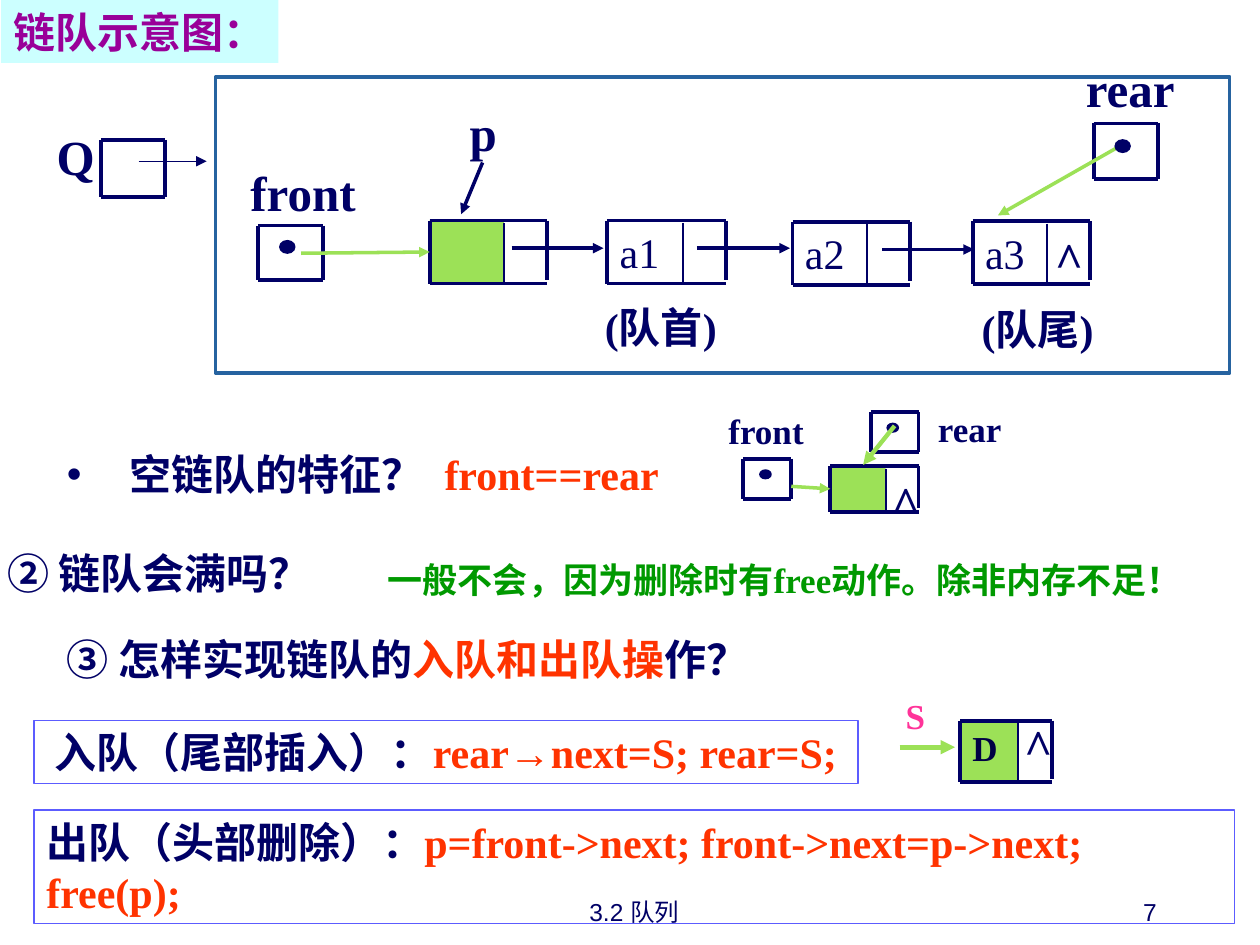
"""Build the linked-queue slide: queue diagram, empty queue, enqueue and dequeue."""
import pptx
import pptx.dml.color
import pptx.enum.shapes
import pptx.enum.text
import pptx.oxml
import pptx.oxml.ns
import pptx.util

Inches = pptx.util.Inches
Pt = pptx.util.Pt
ALIGN = pptx.enum.text.PP_ALIGN
ANCHOR = pptx.enum.text.MSO_ANCHOR
SHAPE = pptx.enum.shapes.MSO_SHAPE

THEME = {
    "navy": "000066", "ink": "000044", "green": "9CE157", "frame": "2663A0",
    "red": "FF3300", "answer": "009900", "pink": "FF3399", "purple": "990099",
    "band": "CCFFFF", "box": "5C5CFF",
    "serif": "Times New Roman", "sans": "Arial", "heading": "Montserrat",
    "huge": 28, "large": 24, "medium": 20, "small": 14,
    "outline": 2.25, "divider": 1, "hairline": 0.75, "arrow": 2,
}

TITLE = ((0.01, 0, 2.2, 0.5), "链队示意图：")
QUESTION = ((0.43, 3.51, 3.07, 0.5), "空链队的特征？")
QUEUE_FRAME = (1.71, 0.61, 8.05, 2.35)

CENTRED_LABELS = [
    ((0.35, 0.95, 0.39, 0.57), "Q", "navy", "huge"),
    ((1.8, 1.24, 1.21, 0.57), "front", "navy", "huge"),
    ((3.62, 0.76, 0.43, 0.57), "p", "navy", "huge"),
    ((8.49, 0.41, 0.96, 0.57), "rear", "navy", "huge"),
    ((5.63, 3.2, 0.9, 0.44), "front", "navy", "medium"),
    ((7.34, 3.18, 0.71, 0.44), "rear", "navy", "medium"),
    ((6.97, 5.46, 0.59, 0.44), "S", "pink", "medium"),
]
UNWRAPPED_LABELS = [
    ((4.62, 2.34, 1.25, 0.5), "(队首)", "navy", "large"),
    ((7.61, 2.36, 1.25, 0.5), "(队尾)", "navy", "large"),
    ((8.23, 1.76, 0.51, 0.57), "^", "navy", "huge"),
    ((6.98, 3.7, 0.42, 0.57), "^", "navy", "huge"),
    ((8.03, 5.63, 0.42, 0.57), "^", "navy", "huge"),
]
STATEMENTS = [
    ((3.43, 3.51, 2.13, 0.5), [("front==rear", "red")], "large"),
    ((-0.04, 4.3, 3.57, 0.5), [("② 链队会满吗？", "navy")], "large"),
    ((2.98, 4.38, 6.64, 0.44),
     [("一般不会，因为删除时有free动作。除非内存不足！", "answer")], "medium"),
    ((0.43, 4.98, 6.42, 0.5),
     [("③ 怎样实现链队的", "navy"), ("入队和出队操", "red"), ("作？", "navy")], "large"),
]
OPERATIONS = [
    ((0.27, 5.72, 6.54, 0.5), ALIGN.CENTER,
     [("入队（尾部插入）：", "navy"), ("rear", "red"), ("→", "red", "sans"),
      ("next=S; rear=S;", "red")]),
    ((0.27, 6.43, 9.53, 0.9), ALIGN.LEFT,
     [("出队（头部删除）：", "navy"),
      ("p=front->next; front->next=p->next; free(p);", "red")]),
]
FOOTERS = [
    ((3.45, 6.9, 3.17, 0.5), "3.2 队列", ALIGN.CENTER),
    ((7.2, 6.9, 2.08, 0.5), "7", ALIGN.RIGHT),
]

POINTER_BOXES = [
    (0.8, 1.11, 0.51, 0.45), (2.05, 1.79, 0.51, 0.43), (8.68, 0.98, 0.51, 0.44),
    (5.9, 3.64, 0.38, 0.32), (6.91, 3.27, 0.38, 0.32),
]
POINTER_DOTS = [
    (2.22, 1.91, 0.12, 0.1), (8.85, 1.11, 0.12, 0.1),
    (6.03, 3.73, 0.09, 0.07), (7.04, 3.36, 0.09, 0.07),
]
NODES = {
    "head": ((3.41, 1.75, 0.93, 0.5), 0.59, "green", ""),
    "a1": ((4.82, 1.75, 0.94, 0.5), 0.6, None, "a1"),
    "a2": ((6.29, 1.76, 0.93, 0.5), 0.59, None, "a2"),
    "a3": ((7.72, 1.755, 0.93, 0.5), 0.59, None, "a3"),
    "empty": ((6.59, 3.7, 0.7, 0.36), 0.44, "green", ""),
    "new": ((7.62, 5.72, 0.73, 0.49), 0.46, "green", "D"),
}
JOINED_ARROWS = [((2.39, 2.01), "head"), ((6.28, 3.86), "empty")]
ARROWS_UNDER_DOTS = [
    ((1.1, 1.28), (1.64, 1.28), "navy", 0.75),
    ((3.83, 1.29), (3.66, 1.7), "navy", 2),
    ((4.06, 1.97), (4.79, 1.97), "navy", 2),
    ((5.53, 1.97), (6.27, 1.97), "navy", 2),
    ((7, 1.98), (7.73, 1.98), "navy", 2),
    ((8.94, 1.13), (7.92, 1.71), "green", 2),
]
ARROWS_OVER_DOTS = [
    ((7.1, 3.38), (6.85, 3.69), "green", 2.5),
    ((7.14, 5.93), (7.58, 5.93), "green", 2.75),
]


def rgb(name):
    return pptx.dml.color.RGBColor.from_string(THEME[name])


def lengths(at):
    return [Inches(value) for value in at]


def style_run(run, color, size, bold=True, font="serif"):
    run.font.name = THEME[font]
    run.font.size = Pt(THEME[size])
    run.font.bold = bold
    run.font.color.rgb = rgb(color)


def set_frame(frame, anchor, wrap=True):
    frame.auto_size = pptx.enum.text.MSO_AUTO_SIZE.NONE
    frame.vertical_anchor = anchor
    frame.word_wrap = wrap


def add_text(slide, at, parts, size, align=ALIGN.LEFT, anchor=ANCHOR.MIDDLE,
             wrap=True, bold=True, font="serif"):
    label = slide.shapes.add_textbox(*lengths(at))
    set_frame(label.text_frame, anchor, wrap)
    paragraph = label.text_frame.paragraphs[0]
    paragraph.alignment = align
    for words, color, *own_font in parts:
        run = paragraph.add_run()
        run.text = words
        style_run(run, color, size, bold, own_font[0] if own_font else font)
    return label


def add_block(slide, kind, at, fill=None, line=None, width=1):
    block = slide.shapes.add_shape(kind, *lengths(at))
    block.shadow.inherit = False
    if fill:
        block.fill.solid()
        block.fill.fore_color.rgb = rgb(fill)
    else:
        block.fill.background()
    if line:
        block.line.color.rgb = rgb(line)
        block.line.width = Pt(width)
    else:
        block.line.fill.background()
    return block


def add_line(slide, start, end, color, width, arrow=True):
    line = slide.shapes.add_connector(
        pptx.enum.shapes.MSO_CONNECTOR.STRAIGHT, *lengths(start + end))
    line.line.color.rgb = rgb(color)
    line.line.width = Pt(width)
    namespace = pptx.oxml.ns.nsdecls("a")
    if arrow:
        line._element.spPr.find(pptx.oxml.ns.qn("a:ln")).append(
            pptx.oxml.parse_xml(f'<a:tailEnd {namespace} type="triangle"/>'))
    line._element.spPr.append(pptx.oxml.parse_xml(f'<a:effectLst {namespace}/>'))
    return line


def add_edges(slide, at, right_gap=0):
    left, top, width, height = at
    right, bottom = left + width, top + height
    for start, end in (((left, top), (right, top)), ((left, bottom), (right, bottom)),
                       ((left, top), (left, bottom)),
                       ((right, top), (right, bottom - right_gap))):
        add_line(slide, start, end, "navy", THEME["outline"], arrow=False)


def add_node(slide, at, split, fill, value):
    left, top, _, height = at
    cell = (left, top, split, height)
    if fill:
        data = add_block(slide, SHAPE.RECTANGLE, cell, fill)
        set_frame(data.text_frame, ANCHOR.TOP)
        if value:
            data.text_frame.text = value
            data.text_frame.paragraphs[0].alignment = ALIGN.LEFT
            style_run(data.text_frame.paragraphs[0].runs[0], "ink", "medium")
    else:
        data = add_text(slide, cell, [(value, "navy")], "large",
                        anchor=ANCHOR.TOP, bold=False)
    add_edges(slide, at, right_gap=0.03)
    add_line(slide, (left + split, top + 0.02), (left + split, top + height + 0.01),
             "navy", THEME["divider"], arrow=False)
    return data


def fill_placeholders(slide):
    title, question = slide.placeholders
    for holder, (at, words), color, font in (
            (title, TITLE, "purple", "heading"), (question, QUESTION, "navy", "serif")):
        holder.left, holder.top, holder.width, holder.height = lengths(at)
        holder.text_frame.text = words
        set_frame(holder.text_frame, ANCHOR.TOP)
        paragraph = holder.text_frame.paragraphs[0]
        paragraph.alignment = ALIGN.LEFT
        paragraph.space_before = Pt(0)
        style_run(paragraph.runs[0], color, "large", font=font)
    title.text_frame.margin_right = 0
    title.fill.solid()
    title.fill.fore_color.rgb = rgb("band")
    properties = question.text_frame.paragraphs[0]._p.get_or_add_pPr()
    properties.set("marL", str(Inches(0.5)))
    properties.set("indent", str(-Inches(0.5)))
    namespace = pptx.oxml.ns.nsdecls("a")
    for bullet in (f'<a:buClr {namespace}><a:srgbClr val="{THEME["navy"]}"/></a:buClr>',
                   f'<a:buFont {namespace} typeface="{THEME["sans"]}"/>',
                   f'<a:buChar {namespace} char="•"/>'):
        properties.append(pptx.oxml.parse_xml(bullet))


def main():
    deck = pptx.Presentation()
    deck.slide_width, deck.slide_height = Inches(10), Inches(7.5)
    slide = deck.slides.add_slide(deck.slide_layouts[1])
    fill_placeholders(slide)
    add_block(slide, SHAPE.RECTANGLE, QUEUE_FRAME, line="frame", width=2)
    for at in POINTER_BOXES:
        add_edges(slide, at)
    nodes = {name: add_node(slide, *node) for name, node in NODES.items()}
    for start, target in JOINED_ARROWS:
        arrow = add_line(slide, start, start, "green", THEME["arrow"])
        arrow.end_connect(nodes[target], 1)
    for arrow in ARROWS_UNDER_DOTS:
        add_line(slide, *arrow)
    for at in POINTER_DOTS:
        add_block(slide, SHAPE.OVAL, at, "navy", "navy", THEME["hairline"])
    for arrow in ARROWS_OVER_DOTS:
        add_line(slide, *arrow)
    for labels, wrap in ((CENTRED_LABELS, True), (UNWRAPPED_LABELS, False)):
        for at, words, color, size in labels:
            add_text(slide, at, [(words, color)], size, ALIGN.CENTER, wrap=wrap)
    for at, parts, size in STATEMENTS:
        add_text(slide, at, parts, size, anchor=ANCHOR.TOP)
    for at, align, parts in OPERATIONS:
        operation = add_text(slide, at, parts, "large", align, ANCHOR.TOP)
        operation.line.color.rgb = rgb("box")
        operation.line.width = Pt(THEME["hairline"])
    for at, words, align in FOOTERS:
        add_text(slide, at, [(words, "navy")], "small", align, ANCHOR.BOTTOM,
                 bold=False, font="sans")
    deck.save("out.pptx")


if __name__ == "__main__":
    main()
